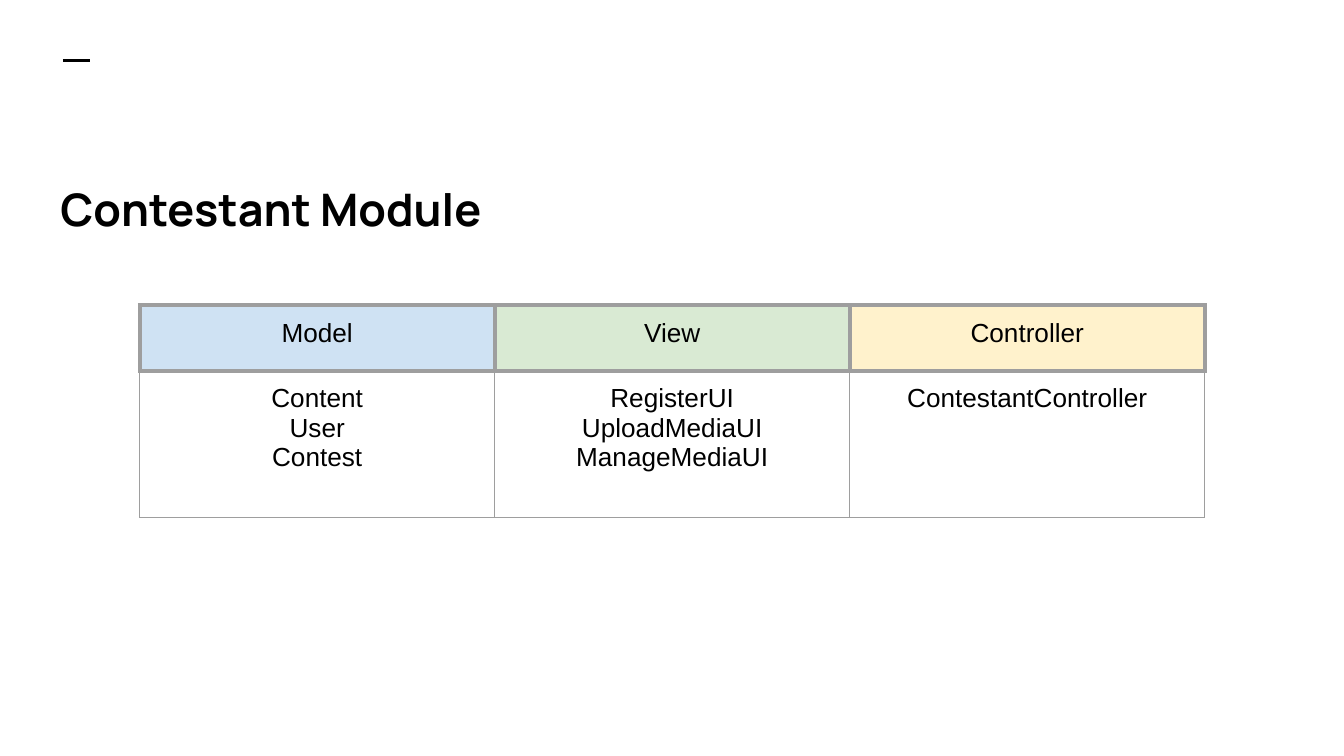
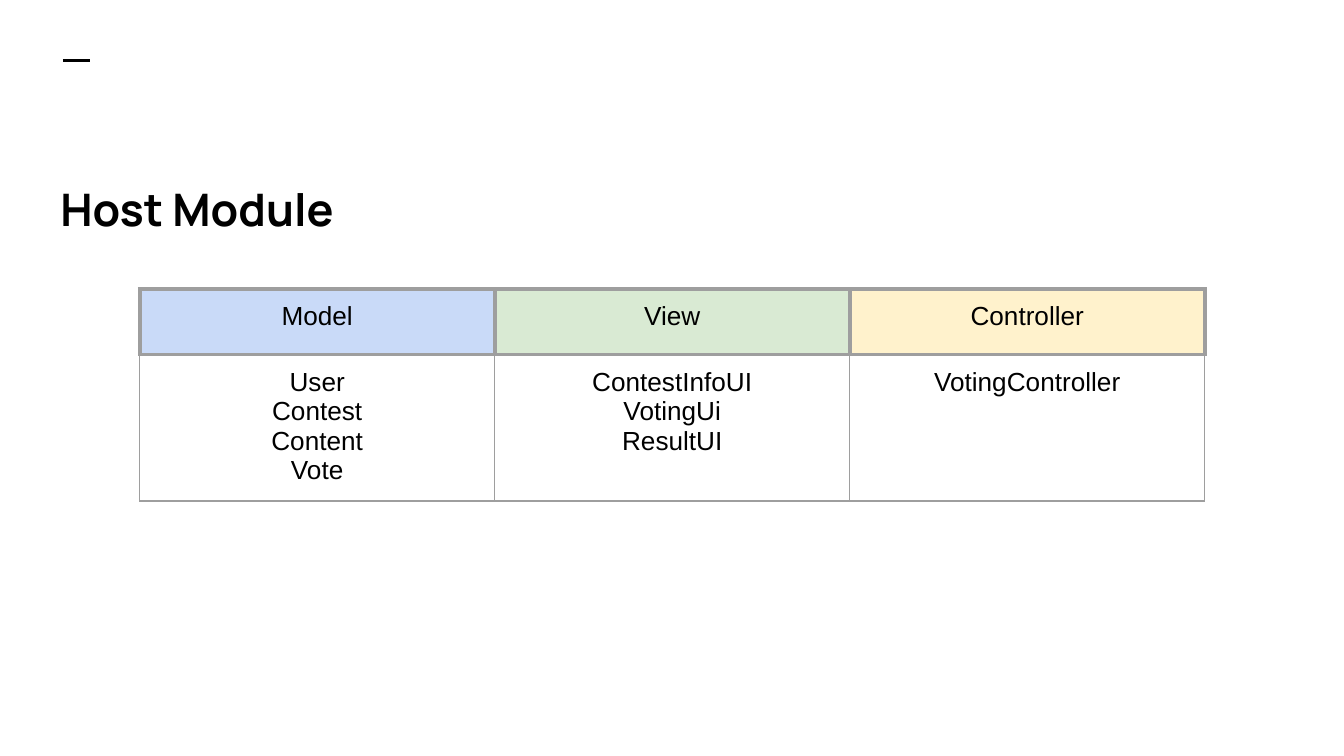
from pptx import Presentation
from pptx.dml.color import RGBColor
from pptx.enum.shapes import MSO_CONNECTOR
from pptx.enum.text import MSO_ANCHOR as Anchor, MSO_AUTO_SIZE as AutoSize, PP_ALIGN as Align
from pptx.oxml import parse_xml
from pptx.oxml.ns import nsdecls
from pptx.util import Cm, Pt

# Shared look
INK, RULE, PAPER = "000000", "9E9E9E", "FFFFFF"
GREEN, YELLOW = "D9EAD3", "FFF2CC"
TITLE_FONT = {"name": "Manrope", "size": Pt(24), "bold": True}
TABLE_FONT = {"name": "Arial", "size": Pt(14), "bold": False}
INSETS = {f"margin_{side}": Cm(0.25) for side in ("left", "top", "right", "bottom")}
THICK, THIN = Pt(2.25), Pt(0.75)
TABLE_LEFT, COLUMN_WIDTH = 2.64, 6.71
ROW_HEIGHTS = (1.24, 2.77)

# Content: title, table top, model colour, classes under each heading
HEADINGS = ("Model", "View", "Controller")
MODULES = [
    ("Contestant Module", 5.77, "CFE2F3", [
        ["Content", "User", "Contest"],
        ["RegisterUI", "UploadMediaUI", "ManageMediaUI"],
        ["ContestantController"]]),
    ("Host Module", 5.46, "C9DAF8", [
        ["User", "Contest", "Content", "Vote"],
        ["ContestInfoUI", "VotingUi", "ResultUI"],
        ["VotingController"]]),
]


def color(hex_value):
    return RGBColor.from_string(hex_value)


def apply(target, values):
    for name, value in values.items():
        setattr(target, name, value)


def write(frame, lines, font, align):
    frame.text = "\n".join(lines)
    for paragraph in frame.paragraphs:
        paragraph.alignment = align
        for run in paragraph.runs:
            apply(run.font, font)
            run.font.color.rgb = color(INK)


def add_dash(slide):
    dash = slide.shapes.add_connector(
        MSO_CONNECTOR.STRAIGHT, Cm(1.19), Cm(1.14), Cm(1.7), Cm(1.14))
    dash.line.color.rgb = color(INK)
    dash.line.width = Pt(1.5)
    dash._element.spPr.append(parse_xml(f"<a:effectLst {nsdecls('a')}/>"))


def set_title(slide, text):
    title = slide.shapes.title
    apply(title, {"left": Cm(0.89), "top": Cm(2.59),
                  "width": Cm(12.52), "height": Cm(2.11)})
    frame = title.text_frame
    apply(frame, {**INSETS, "vertical_anchor": Anchor.BOTTOM,
                  "word_wrap": True, "auto_size": AutoSize.NONE})
    write(frame, [text], TITLE_FONT, Align.LEFT)


def set_borders(cell, widths):
    """Put the cell's edges ahead of its fill, as the schema requires."""
    properties = cell._tc.get_or_add_tcPr()
    for position, (side, width) in enumerate(widths.items()):
        properties.insert(position, parse_xml(
            f'<a:ln{side} {nsdecls("a")} w="{width}"><a:solidFill>'
            f'<a:srgbClr val="{RULE}"/></a:solidFill></a:ln{side}>'))


def fill_cell(cell, lines, fill, edge):
    apply(cell, {**INSETS, "vertical_anchor": Anchor.TOP})
    write(cell.text_frame, lines, TABLE_FONT, Align.CENTER)
    if fill:
        cell.fill.solid()
        cell.fill.fore_color.rgb = color(fill)
    else:
        cell.fill.background()
    set_borders(cell, {"L": edge, "R": edge, "T": THICK, "B": edge})


def add_module_table(slide, top, model_fill, classes):
    columns = len(HEADINGS)
    table = slide.shapes.add_table(
        len(ROW_HEIGHTS), columns, Cm(TABLE_LEFT), Cm(top),
        Cm(COLUMN_WIDTH * columns), Cm(sum(ROW_HEIGHTS))).table
    apply(table, {"first_row": False, "horz_banding": False})
    for row, height in zip(table.rows, ROW_HEIGHTS):
        row.height = Cm(height)
    fills = (model_fill, GREEN, YELLOW)
    for index, (heading, fill, names) in enumerate(zip(HEADINGS, fills, classes)):
        table.columns[index].width = Cm(COLUMN_WIDTH)
        fill_cell(table.cell(0, index), [heading], fill, THICK)
        fill_cell(table.cell(1, index), names, None, THIN)


def main():
    deck = Presentation()
    apply(deck, {"slide_width": Cm(25.4), "slide_height": Cm(14.29)})
    title_only = deck.slide_layouts[5]
    background = deck.slide_master.background.fill
    background.solid()
    background.fore_color.rgb = color(PAPER)
    for title, top, model_fill, classes in MODULES:
        slide = deck.slides.add_slide(title_only)
        add_dash(slide)
        set_title(slide, title)
        add_module_table(slide, top, model_fill, classes)
    deck.save("out.pptx")


if __name__ == "__main__":
    main()
